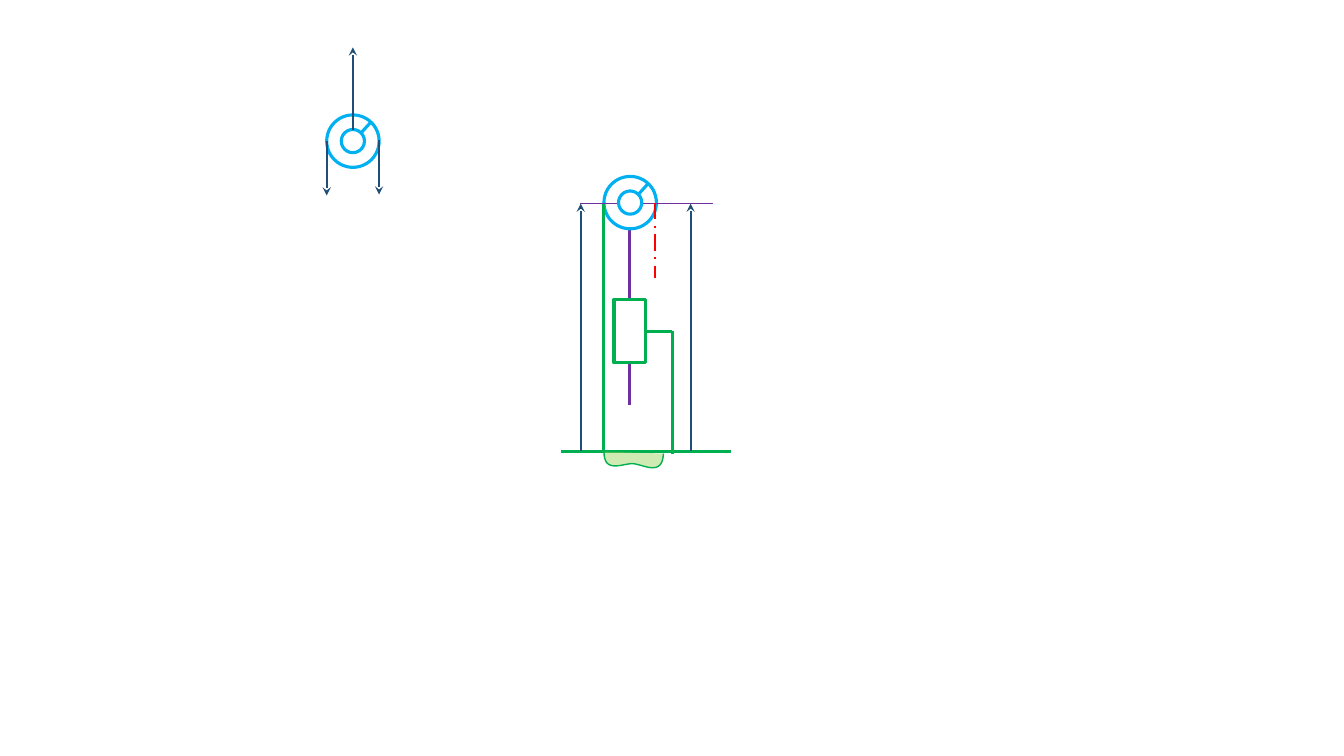
from dataclasses import dataclass

from lxml import etree
from pptx import Presentation
from pptx.dml.color import RGBColor
from pptx.enum.dml import MSO_LINE
from pptx.enum.shapes import MSO_CONNECTOR, MSO_SHAPE
from pptx.oxml.ns import qn
from pptx.util import Inches, Pt

STRAIGHT = MSO_CONNECTOR.STRAIGHT
OVAL, RECTANGLE = MSO_SHAPE.OVAL, MSO_SHAPE.RECTANGLE
DASH_DOT = MSO_LINE.LONG_DASH_DOT


@dataclass(frozen=True)
class Theme:
    white: str = "FFFFFF"
    frame: str = "00B050"
    pulley: str = "00B0F0"
    rod: str = "7030A0"
    force: str = "1F4E79"
    cable: str = "FF0000"
    soil: str = "92D050"
    soil_alpha: int = 44000
    thick: float = 2.25
    medium: float = 1.5
    thin: float = 1


THEME = Theme()

# Content: lines are (start, end), in inches
RIM, HUB = 0.52, 0.23
MOUNTED_PULLEY = (6.25, 2.01)
FREE_PULLEY = (3.5, 1.4)
AXIS_Y, GROUND_Y = 2.02, 4.48

ROD = ((6.24, 2.26), (6.24, 4.02))
CYLINDER = (6.09, 2.97, 0.31, 0.63)
FRAME_LINES = [
    ((7.25, GROUND_Y), (5.56, GROUND_Y)),
    ((6.67, 3.28), (6.67, 4.5)),
    ((6.4, 3.29), (6.67, 3.29)),
    ((5.99, 2.01), (5.99, 4.47)),
]
AXIS = ((7.07, AXIS_Y), (5.75, AXIS_Y))
CABLE = ((6.5, 2.01), (6.5, 2.76))
FORCES = [
    ((5.76, 4.47), (5.76, AXIS_Y)),
    ((6.85, 4.47), (6.85, AXIS_Y)),
    ((3.24, 1.4), (3.24, 1.94)),
    ((3.76, 1.39), (3.76, 1.93)),
    ((3.5, 1.29), (3.5, 0.47)),
]
SOIL_CURVES = [
    ((6.58, 4.5), (6.57, 4.74), (6.37, 4.6), (6.27, 4.6)),
    ((6.27, 4.6), (6.17, 4.6), (5.99, 4.7), (5.99, 4.48)),
]
CURVE_STEPS = 16


def set_outline(shape, color, width):
    shape.line.color.rgb = RGBColor.from_string(color)
    shape.line.width = Pt(width)


def add_line(page, ends, color, width=THEME.thick, arrow=False, dash=None):
    (x1, y1), (x2, y2) = ends
    line = page.shapes.add_connector(
        STRAIGHT, Inches(x1), Inches(y1), Inches(x2), Inches(y2))
    set_outline(line, color, width)
    if dash is not None:
        line.line.dash_style = dash
    if arrow:
        etree.SubElement(line.line._get_or_add_ln(), qn("a:tailEnd"), type="stealth")
    etree.SubElement(line._element.spPr, qn("a:effectLst"))


def add_solid(page, kind, bounds, color):
    shape = page.shapes.add_shape(kind, *map(Inches, bounds))
    shape.shadow.inherit = False
    shape.fill.solid()
    shape.fill.fore_color.rgb = RGBColor.from_string(THEME.white)
    set_outline(shape, color, THEME.thick)


def add_circle(page, center, size):
    x, y = center
    add_solid(page, OVAL, (x - size / 2, y - size / 2, size, size), THEME.pulley)


def add_hub(page, center):
    """Add the inner circle and the spoke that joins it to the rim."""
    x, y = center
    add_circle(page, center, HUB)
    add_line(page, ((x + 0.18, y - 0.19), (x + 0.08, y - 0.08)), THEME.pulley)


def bezier_point(curve, t):
    weights = ((1 - t) ** 3, 3 * t * (1 - t) ** 2, 3 * t ** 2 * (1 - t), t ** 3)
    return tuple(Inches(sum(w * point[axis] for w, point in zip(weights, curve)))
                 for axis in (0, 1))


def add_soil(page):
    points = [bezier_point(curve, step / CURVE_STEPS)
              for curve in SOIL_CURVES for step in range(CURVE_STEPS + 1)]
    builder = page.shapes.build_freeform(*points[0])
    builder.add_line_segments(points[1:], close=False)
    soil = builder.convert_to_shape()
    soil.shadow.inherit = False
    soil.fill.solid()
    soil.fill.fore_color.rgb = RGBColor.from_string(THEME.soil)
    fill_color = soil._element.spPr.find(qn("a:solidFill"))[0]
    etree.SubElement(fill_color, qn("a:alpha"), val=str(THEME.soil_alpha))
    set_outline(soil, THEME.frame, THEME.thin)


def main():
    deck = Presentation()
    deck.slide_width, deck.slide_height = Inches(13.33), Inches(7.5)
    page = deck.slides.add_slide(deck.slide_layouts[6])

    add_line(page, ROD, THEME.rod)
    add_solid(page, RECTANGLE, CYLINDER, THEME.frame)
    for center in (MOUNTED_PULLEY, FREE_PULLEY):
        add_circle(page, center, RIM)
    for ends in FRAME_LINES:
        add_line(page, ends, THEME.frame)
    add_line(page, AXIS, THEME.rod, THEME.thin)
    for center in (MOUNTED_PULLEY, FREE_PULLEY):
        add_hub(page, center)
    add_line(page, CABLE, THEME.cable, THEME.medium, dash=DASH_DOT)
    add_soil(page)
    for ends in FORCES:
        add_line(page, ends, THEME.force, THEME.medium, arrow=True)

    deck.save("out.pptx")


if __name__ == "__main__":
    main()
